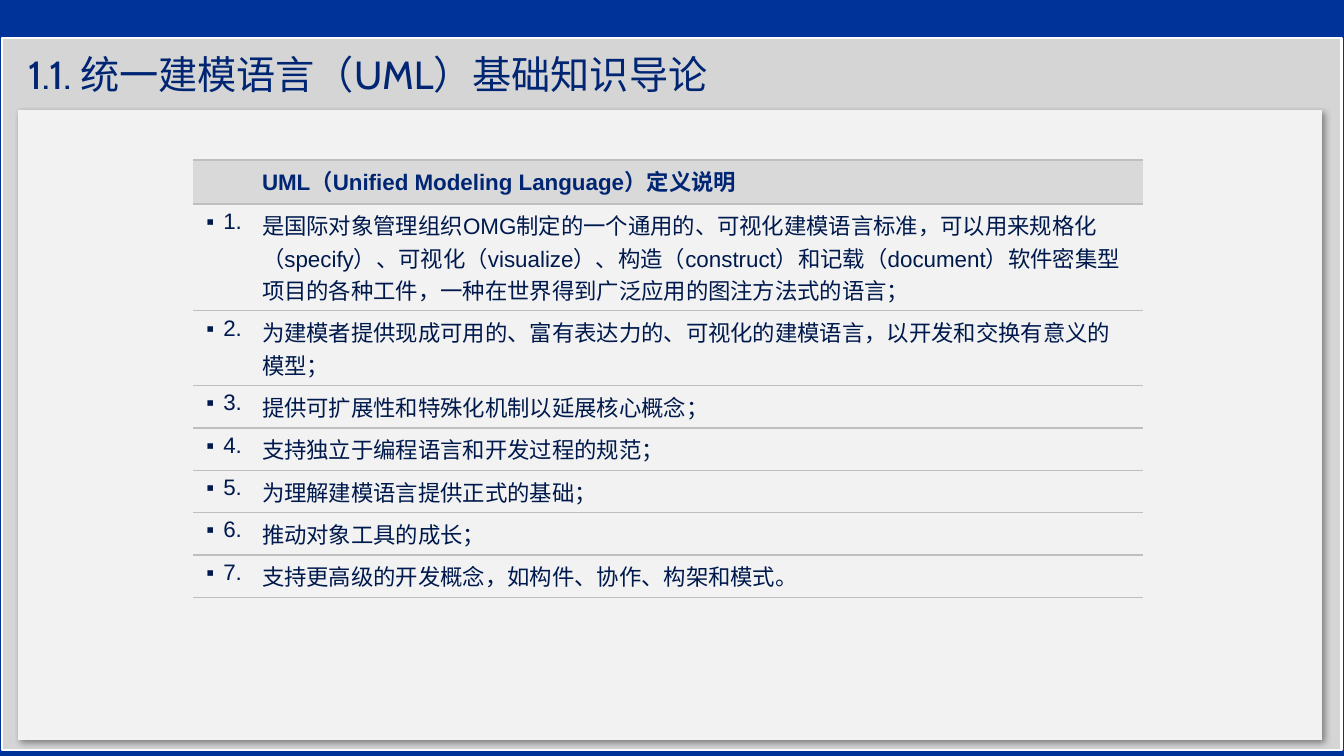
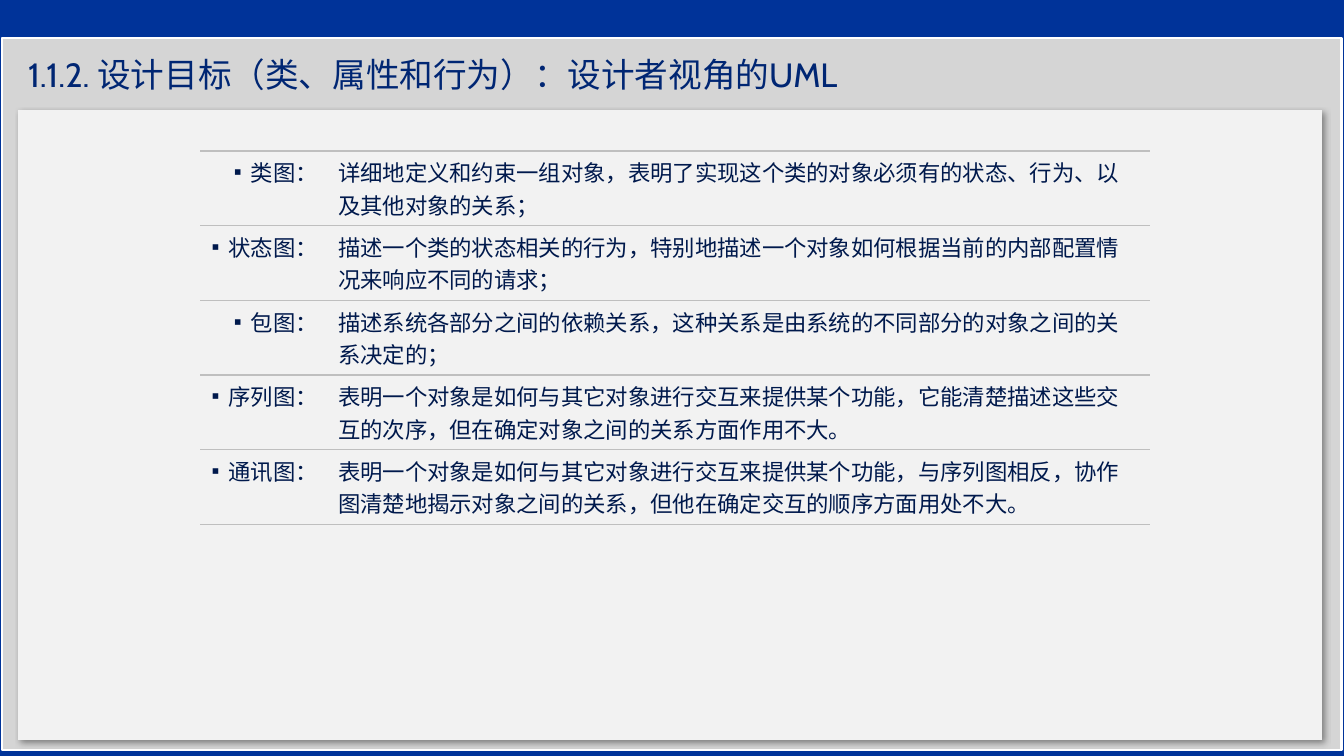
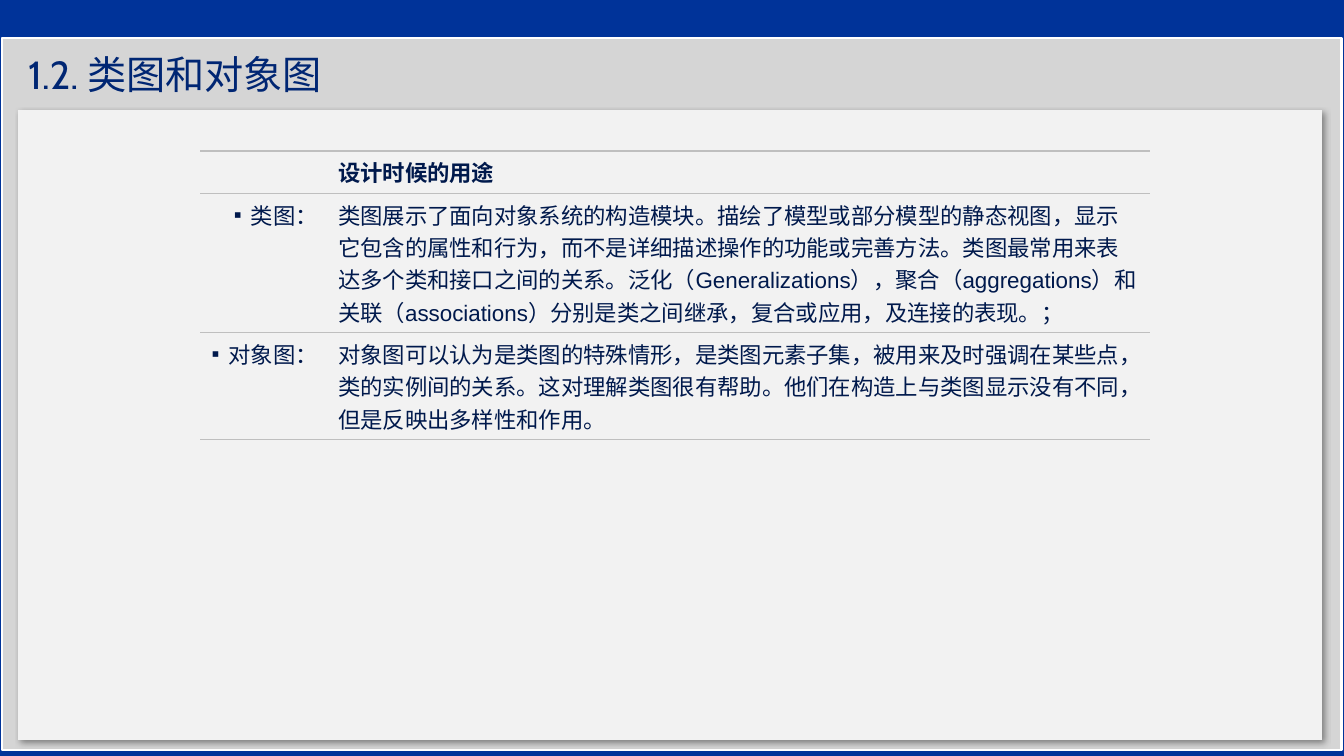
from lxml.etree import SubElement
from pptx import Presentation
from pptx.dml.color import RGBColor
from pptx.enum.shapes import MSO_SHAPE
from pptx.enum.text import MSO_ANCHOR, PP_ALIGN
from pptx.oxml.ns import qn
from pptx.util import Pt

PIXEL = 914400 / 100.8
COLORS = {
    "background": "003399",
    "frame": "D5D5D5",
    "frame_line": "FFFFFF",
    "panel": "F2F2F2",
    "header": "D9D9D9",
    "rule": "BFBFBF",
    "title": "002673",
    "text": "00194C",
    "shadow": "000000",
}
TITLE_FONT = "Cabin"
BODY_FONT = "Arial"
LINE_HEIGHT = 32
CELL_PADDING = 10
BULLET_INDENT = 17

DEFINITION_ROWS = [
    ("1.", "是国际对象管理组织OMG制定的一个通用的、可视化建模语言标准，可以用来规格化（specify）、可视化（visualize）、构造（construct）和记载（document）软件密集型项目的各种工件，一种在世界得到广泛应用的图注方法式的语言；", 3),
    ("2.", "为建模者提供现成可用的、富有表达力的、可视化的建模语言，以开发和交换有意义的模型；", 2),
    ("3.", "提供可扩展性和特殊化机制以延展核心概念；", 1),
    ("4.", "支持独立于编程语言和开发过程的规范；", 1),
    ("5.", "为理解建模语言提供正式的基础；", 1),
    ("6.", "推动对象工具的成长；", 1),
    ("7.", "支持更高级的开发概念，如构件、协作、构架和模式。", 1),
]
DESIGN_ROWS = [
    ("类图：", "详细地定义和约束一组对象，表明了实现这个类的对象必须有的状态、行为、以及其他对象的关系；", 2),
    ("状态图：", "描述一个类的状态相关的行为，特别地描述一个对象如何根据当前的内部配置情况来响应不同的请求；", 2),
    ("包图：", "描述系统各部分之间的依赖关系，这种关系是由系统的不同部分的对象之间的关系决定的；", 2),
    ("序列图：", "表明一个对象是如何与其它对象进行交互来提供某个功能，它能清楚描述这些交互的次序，但在确定对象之间的关系方面作用不大。", 2),
    ("通讯图：", "表明一个对象是如何与其它对象进行交互来提供某个功能，与序列图相反，协作图清楚地揭示对象之间的关系，但他在确定交互的顺序方面用处不大。", 2),
]
USAGE_ROWS = [
    ("类图：", "类图展示了面向对象系统的构造模块。描绘了模型或部分模型的静态视图，显示它包含的属性和行为，而不是详细描述操作的功能或完善方法。类图最常用来表达多个类和接口之间的关系。泛化（Generalizations），聚合（aggregations）和关联（associations）分别是类之间继承，复合或应用，及连接的表现。；", 4),
    ("对象图：", "对象图可以认为是类图的特殊情形，是类图元素子集，被用来及时强调在某些点，类的实例间的关系。这对理解类图很有帮助。他们在构造上与类图显示没有不同，但是反映出多样性和作用。", 3),
]


def px(length):
    return round(length * PIXEL)


def color(name):
    return RGBColor.from_string(COLORS[name])


def write_text(frame, text, size=16, font=BODY_FONT, ink="text", bold=False,
               align=PP_ALIGN.LEFT, bullet=None):
    paragraph = frame.paragraphs[0]
    paragraph.alignment = align
    if bullet:
        properties = paragraph._p.get_or_add_pPr()
        properties.set("marL", str(px(BULLET_INDENT)))
        properties.set("indent", str(-px(BULLET_INDENT)))
        SubElement(properties, qn("a:buFont"), typeface=BODY_FONT)
        SubElement(properties, qn("a:buChar"), char=bullet)
    run = paragraph.add_run()
    run.text = text
    run.font.size = Pt(size)
    run.font.name = font
    run.font.bold = bold
    run.font.color.rgb = color(ink)


def add_panel(slide, box, fill, line=None):
    shape = slide.shapes.add_shape(MSO_SHAPE.RECTANGLE, *map(px, box))
    shape.shadow.inherit = False
    shape.fill.solid()
    shape.fill.fore_color.rgb = color(fill)
    if line:
        shape.line.color.rgb = color(line)
        shape.line.width = Pt(2)
    else:
        shape.line.fill.background()
    return shape


def add_shadow(shape):
    effects = shape._element.spPr.find(qn("a:effectLst"))
    shadow = SubElement(effects, qn("a:outerShdw"), blurRad=str(Pt(4)),
                        dist=str(Pt(3)), dir="2700000", algn="tl", rotWithShape="0")
    shade = SubElement(shadow, qn("a:srgbClr"), val=COLORS["shadow"])
    SubElement(shade, qn("a:alpha"), val="40000")


def set_up_layout(layout, slide):
    fill = layout.slide_master.background.fill
    fill.solid()
    fill.fore_color.rgb = color("background")
    frame = add_panel(slide, (2, 38, 1340, 712), "frame", "frame_line")
    panel = add_panel(slide, (18, 110, 1304, 630), "panel")
    add_shadow(panel)
    for position, shape in enumerate((frame, panel), start=2):
        layout.shapes._spTree.insert(position, shape._element)
    title = layout.placeholders[0]
    title.left, title.top, title.width, title.height = map(px, (18, 47, 1302, 54))


def add_title(slide, text, size):
    frame = slide.shapes.title.text_frame
    frame.vertical_anchor = MSO_ANCHOR.MIDDLE
    write_text(frame, text, size=size, font=TITLE_FONT, ink="title")


def format_cell(cell, fill=None):
    properties = cell._tc.get_or_add_tcPr()
    for side in ("lnL", "lnR"):
        SubElement(SubElement(properties, qn("a:" + side), w="0"), qn("a:noFill"))
    for side in ("lnT", "lnB"):
        border = SubElement(properties, qn("a:" + side), w=str(Pt(1)))
        paint = SubElement(border, qn("a:solidFill"))
        SubElement(paint, qn("a:srgbClr"), val=COLORS["rule"])
    if fill:
        cell.fill.solid()
        cell.fill.fore_color.rgb = color(fill)
    else:
        cell.fill.background()


def add_definition_table(slide, left, top, widths, rows, header=None,
                         header_fill="panel", header_ink="text", header_height=42):
    heights = [LINE_HEIGHT * lines + CELL_PADDING for _, _, lines in rows]
    if header:
        heights.insert(0, header_height)
    box = (left, top, sum(widths), sum(heights))
    table = slide.shapes.add_table(len(heights), 2, *map(px, box)).table
    table.first_row = table.horz_banding = False
    for column, width in zip(table.columns, widths):
        column.width = px(width)
    for row, height in zip(table.rows, heights):
        row.height = px(height)
    first = 0
    if header:
        first = 1
        for column in range(2):
            format_cell(table.cell(0, column), header_fill)
        table.cell(0, 0).text_frame.paragraphs[0].font.size = Pt(16)
        write_text(table.cell(0, 1).text_frame, header, ink=header_ink, bold=True)
    for index, (label, description, _) in enumerate(rows, start=first):
        label_cell, description_cell = table.cell(index, 0), table.cell(index, 1)
        format_cell(label_cell)
        format_cell(description_cell)
        write_text(label_cell.text_frame, label, align=PP_ALIGN.RIGHT, bullet="▪")
        write_text(description_cell.text_frame, description)


def main():
    presentation = Presentation()
    presentation.slide_width, presentation.slide_height = px(1344), px(756)
    layout = presentation.slide_layouts[5]
    overview, design, usage = [presentation.slides.add_slide(layout) for _ in range(3)]
    set_up_layout(layout, overview)

    add_title(overview, "1.1. 统一建模语言（UML）基础知识导论", 28)
    add_definition_table(overview, 193, 160, (59, 891), DEFINITION_ROWS,
                         header="UML（Unified Modeling Language）定义说明",
                         header_fill="header", header_ink="title", header_height=44)

    add_title(design, "1.1.2. 设计目标（类、属性和行为）：设计者视角的UML", 24)
    add_definition_table(design, 200, 151, (128, 822), DESIGN_ROWS)

    add_title(usage, "1.2. 类图和对象图", 28)
    add_definition_table(usage, 200, 151, (128, 822), USAGE_ROWS, header="设计时候的用途")

    presentation.save("out.pptx")


if __name__ == "__main__":
    main()
